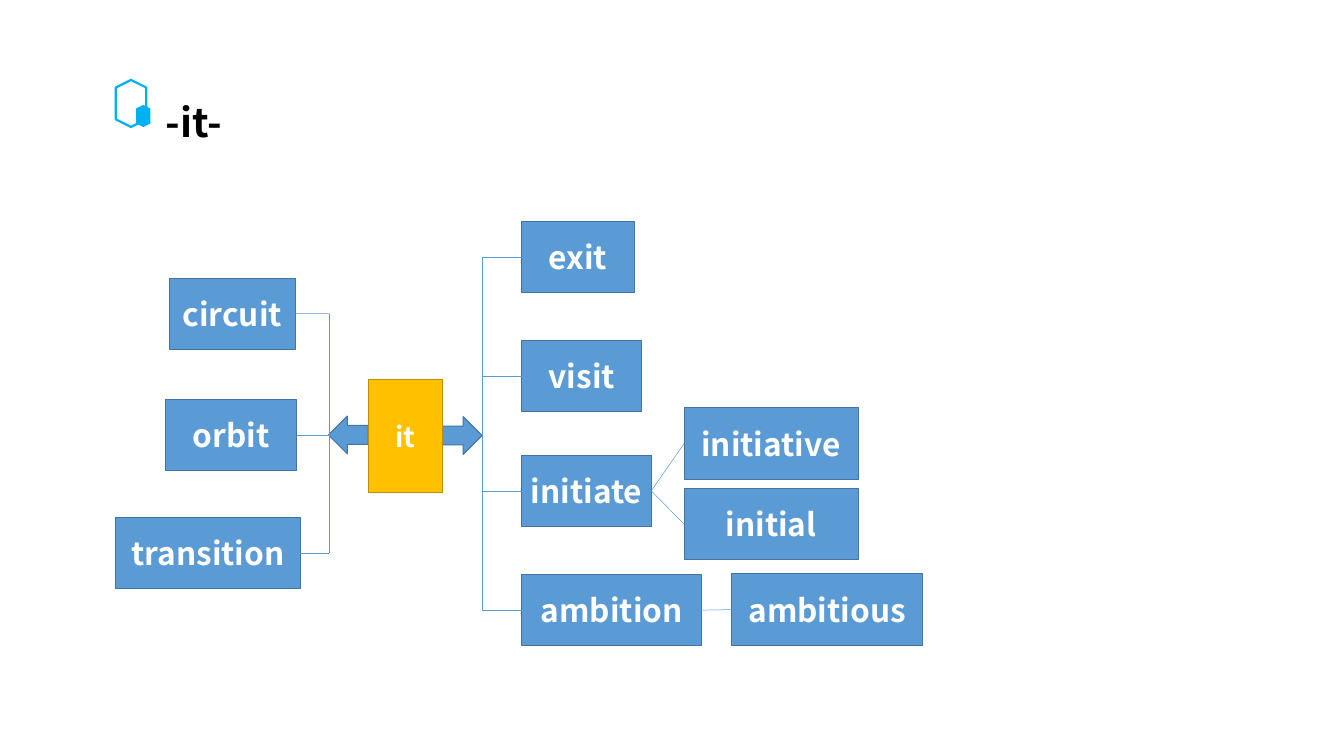
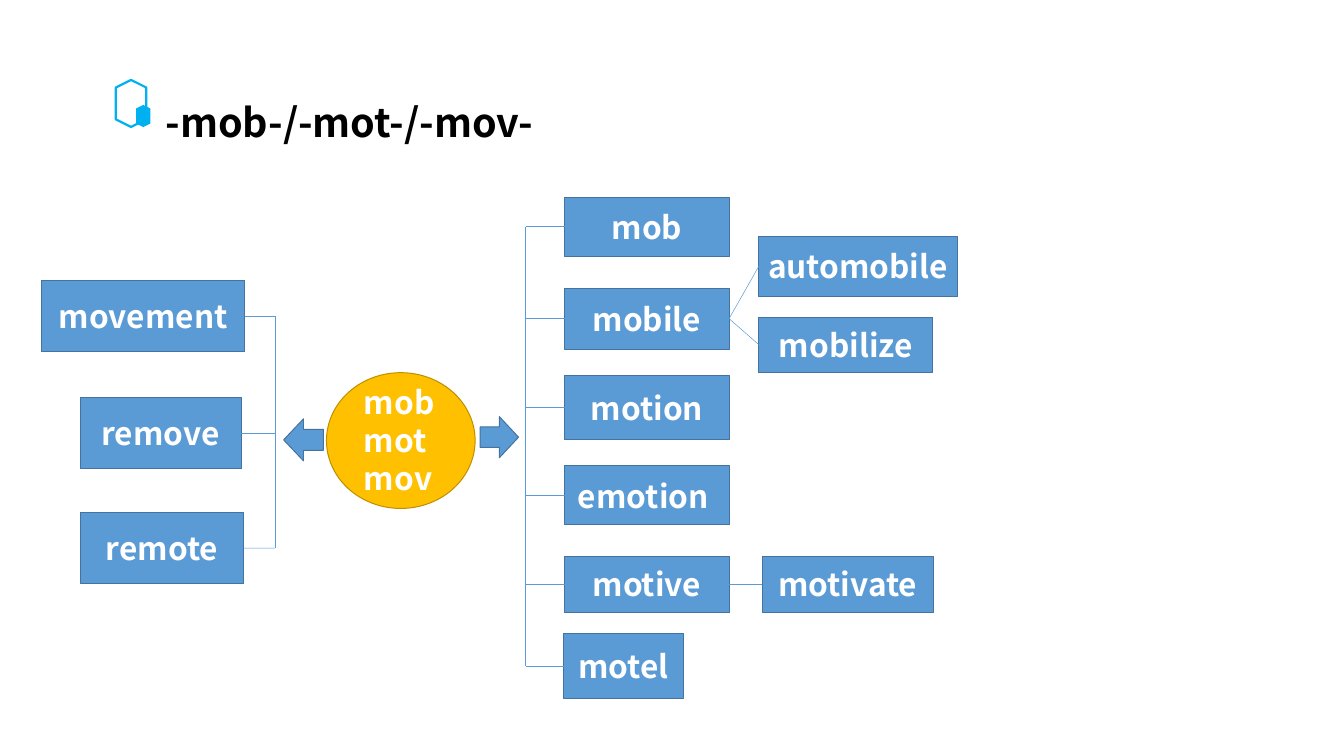
from dataclasses import dataclass

from lxml.etree import SubElement
from pptx import Presentation
from pptx.dml.color import RGBColor as Rgb
from pptx.enum.shapes import MSO_CONNECTOR as Link, MSO_SHAPE as Form
from pptx.enum.text import MSO_ANCHOR as Anchor, MSO_AUTO_SIZE as Fit, PP_ALIGN as Align
from pptx.oxml.ns import qn
from pptx.util import Cm, Pt

HUES = {"blue": "5B9BD5", "edge": "43739E", "gold": "FFC000", "rim": "BD8E00",
        "sky": "00B0F0", "white": "FFFFFF", "black": "000000"}
FONT = {"name": "Noto Sans CJK SC", "bold": True}
TOP, LEFT, RIGHT = 0, 1, 3  # connection sites


@dataclass(frozen=True)
class Area:
    """A frame in centimetres."""
    x: float
    y: float
    w: float
    h: float = 2.54

    @property
    def mid(self) -> float:
        return self.y + self.h / 2

    def frame(self) -> tuple:
        return Cm(self.x), Cm(self.y), Cm(self.w), Cm(self.h)


@dataclass(frozen=True)
class Word:
    text: str
    area: Area
    kids: tuple = ()


@dataclass(frozen=True)
class Side:
    """One half of a map: an arrow, a spine and its words."""
    spine: float
    port: int
    form: Form
    arrow: Area
    words: tuple


@dataclass(frozen=True)
class Map:
    title: str
    width: float
    form: Form
    core: Area
    size: int
    sides: tuple
    text: str = ""
    label: Area | None = None
    lines: tuple = ()


# Helpers
def hue(key: str) -> Rgb:
    return Rgb.from_string(HUES[key])


def style(para, size: float, color: str, align: Align) -> None:
    para.alignment = align
    for key, value in {**FONT, "size": Pt(size)}.items():
        setattr(para.font, key, value)
    para.font.color.rgb = hue(color)


def add_form(shapes, form: Form, area: Area, fill: str = "", line: str = "",
             width: float = 1):
    shape = shapes.add_shape(form, *area.frame())
    shape.shadow.inherit = False
    if fill:
        shape.fill.solid()
        shape.fill.fore_color.rgb = hue(fill)
    else:
        shape.fill.background()
    if line:
        shape.line.color.rgb = hue(line)
        shape.line.width = Pt(width)
    else:
        shape.line.fill.background()
    return shape


def add_line(shapes, x1: float, y1: float, x2: float, y2: float):
    line = shapes.add_connector(Link.STRAIGHT, Cm(x1), Cm(y1), Cm(x2), Cm(y2))
    line.line.color.rgb = hue("blue")
    line.line.width = Pt(0.5)
    SubElement(line._element.spPr, qn("a:effectLst"))
    return line


def add_word(shapes, word: Word):
    """Draw a word box and, to its right, the words derived from it."""
    box = add_form(shapes, Form.RECTANGLE, word.area, "blue", "edge")
    box.text_frame.text = word.text
    style(box.text_frame.paragraphs[0], 32, "white", Align.CENTER)
    for kid in word.kids:
        leaf = add_word(shapes, kid)
        link = add_line(shapes, word.area.x + word.area.w, word.area.mid,
                        kid.area.x, kid.area.mid)
        link.begin_connect(box, RIGHT)
        link.end_connect(leaf, LEFT)
    return box


def add_side(shapes, side: Side) -> None:
    add_form(shapes, side.form, side.arrow, "blue", "edge")
    for word in side.words:
        area = word.area
        box = add_word(shapes, word)
        edge = area.x + (area.w if side.port == RIGHT else 0)
        stub = add_line(shapes, edge, area.mid, side.spine, area.mid)
        stub.begin_connect(box, side.port)
    add_line(shapes, side.spine, side.words[0].area.mid,
             side.spine, side.words[-1].area.mid)


def add_head(slide, text: str, width: float) -> None:
    """Draw the hexagon mark and the title."""
    mark = slide.shapes.add_group_shape().shapes
    for area, fill, line in ((Area(3.84, 3.15, 1.68, 1.09), "", "sky"),
                             (Area(4.72, 3.89, 0.79, 0.51), "sky", "")):
        add_form(mark, Form.HEXAGON, area, fill, line, 2.25).rotation = 90
    title = slide.shapes.title
    title.left, title.top, title.width, title.height = Area(5.66, 3.35, width, 1.96).frame()
    frame = title.text_frame
    frame.text = text
    for key, value in {"word_wrap": False, "auto_size": Fit.NONE,
                       "vertical_anchor": Anchor.MIDDLE}.items():
        setattr(frame, key, value)
    style(frame.paragraphs[0], 40, "black", Align.LEFT)


def add_core(shapes, plan: Map) -> None:
    core = add_form(shapes, plan.form, plan.core, "gold", "rim")
    if plan.text:
        core.text_frame.text = plan.text
        style(core.text_frame.paragraphs[0], plan.size, "white", Align.CENTER)
    if plan.label:
        frame = shapes.add_textbox(*plan.label.frame()).text_frame
        frame.word_wrap = True
        frame.text = "\n".join(plan.lines)
        for para in frame.paragraphs:
            style(para, plan.size, "white", Align.LEFT)
            para.line_spacing = Pt(38.4)


# Content
MAPS = (
    Map("-it-", 2.69, Form.RECTANGLE, Area(13.16, 13.56, 2.64, 4.04), 28, (
        Side(11.76, RIGHT, Form.LEFT_ARROW, Area(11.73, 14.86, 1.42, 1.35), (
            Word("circuit", Area(6.05, 9.93, 4.5)),
            Word("orbit", Area(5.92, 14.27, 4.67)),
            Word("transition", Area(4.14, 18.49, 6.58)))),
        Side(17.22, LEFT, Form.RIGHT_ARROW, Area(15.8, 14.88, 1.42, 1.35), (
            Word("exit", Area(18.64, 7.92, 4.01)),
            Word("visit", Area(18.64, 12.17, 4.29)),
            Word("initiate", Area(18.64, 16.26, 4.62), (
                Word("initiative", Area(24.43, 14.55, 6.22, 2.59)),
                Word("initial", Area(24.43, 17.45, 6.22)))),
            Word("ambition", Area(18.64, 20.52, 6.43), (
                Word("ambitious", Area(26.14, 20.5, 6.81)),))))),
        text="it"),
    Map("-mob-/-mot-/-mov-", 14.88, Form.FLOWCHART_CONNECTOR,
        Area(11.66, 13.31, 5.31, 4.85), 32, (
            Side(9.83, RIGHT, Form.LEFT_ARROW, Area(10.13, 14.96, 1.42, 1.5), (
                Word("movement", Area(1.5, 10.01, 7.24)),
                Word("remove", Area(2.87, 14.2, 5.74)),
                Word("remote", Area(2.87, 18.31, 5.84)))),
            Side(18.77, LEFT, Form.RIGHT_ARROW, Area(17.15, 14.88, 1.37, 1.47), (
                Word("mob", Area(20.17, 7.04, 5.87, 2.11)),
                Word("mobile", Area(20.17, 10.29, 5.87, 2.18), (
                    Word("automobile", Area(27.1, 8.43, 7.09, 2.16)),
                    Word("mobilize", Area(27.1, 11.33, 6.22, 1.96)))),
                Word("motion", Area(20.17, 13.41, 5.87, 2.29)),
                Word("emotion ", Area(20.17, 16.64, 5.87, 2.11)),
                Word("motive", Area(20.17, 19.86, 5.87, 2.01), (
                    Word("motivate", Area(27.23, 19.86, 6.1, 2.01)),)),
                Word("motel", Area(20.14, 22.63, 4.27, 2.31))))),
        label=Area(12.75, 13.55, 3.15, 5.74), lines=("mob", "mot", "mov")),
)


def main() -> None:
    deck = Presentation()
    deck.slide_width, deck.slide_height = Cm(48), Cm(27)
    for plan in MAPS:
        slide = deck.slides.add_slide(deck.slide_layouts[5])
        add_head(slide, plan.title, plan.width)
        for side in plan.sides:
            add_side(slide.shapes, side)
        add_core(slide.shapes, plan)
    deck.save("out.pptx")


if __name__ == "__main__":
    main()
